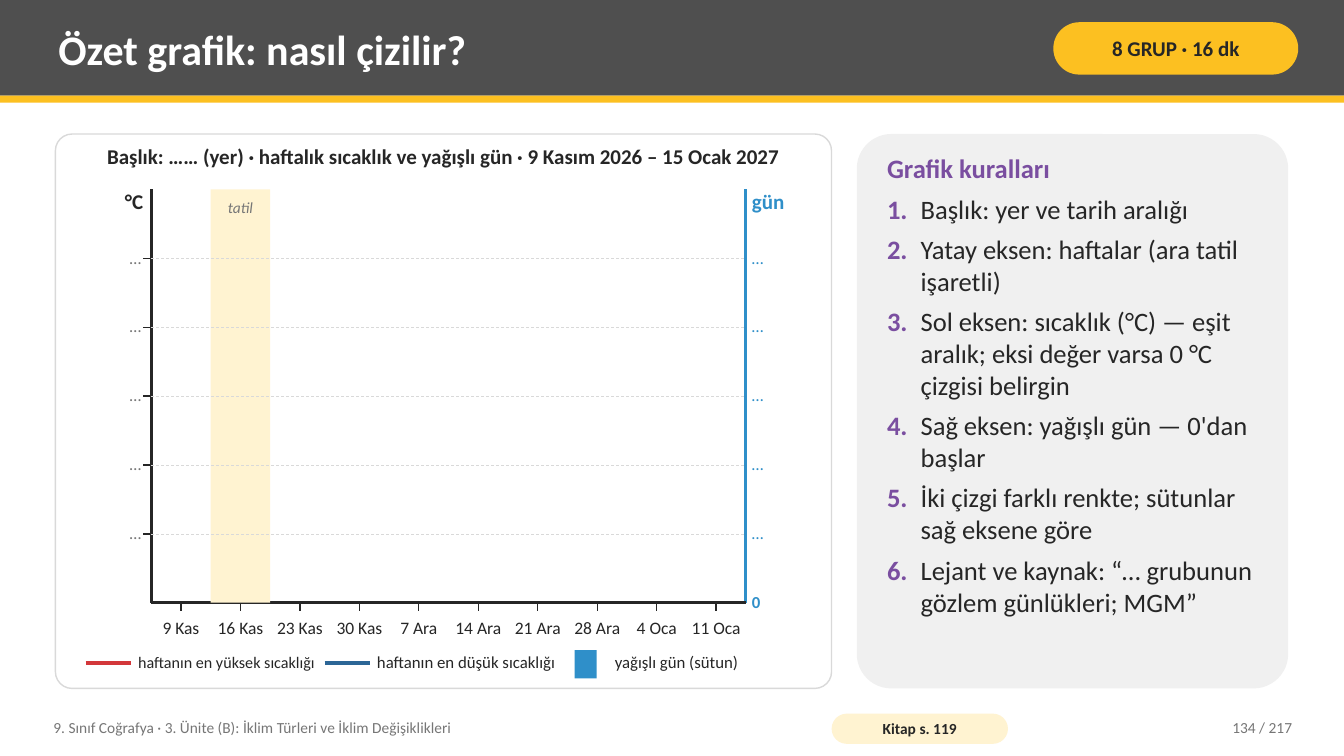
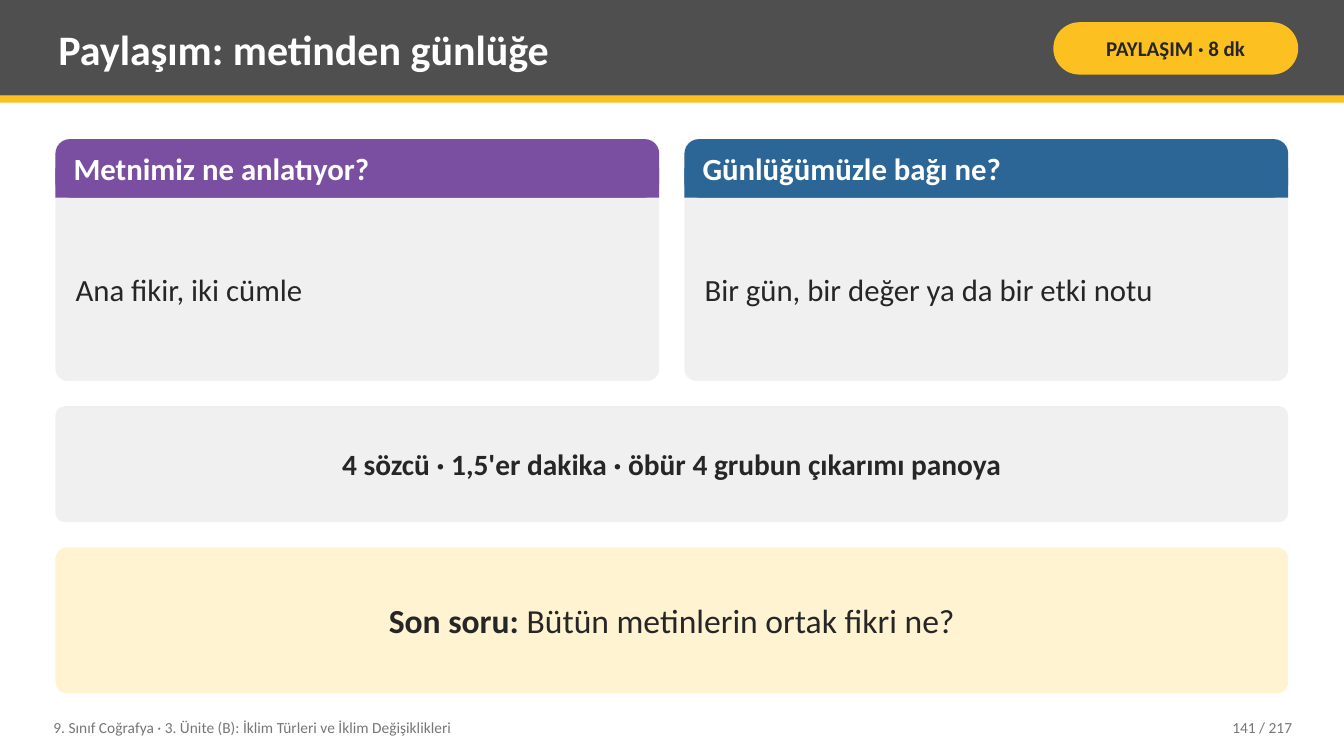
import pptx
import pptx.util
import pptx.dml.color
import pptx.enum.dml
import pptx.enum.shapes
import pptx.enum.text
import pptx.oxml.ns
from lxml import etree

Pt = pptx.util.Pt
RGB = pptx.dml.color.RGBColor
SHAPE = pptx.enum.shapes.MSO_SHAPE
ALIGN = pptx.enum.text.PP_ALIGN
ANCHOR = pptx.enum.text.MSO_ANCHOR
qn = pptx.oxml.ns.qn

# Colours
SLATE = RGB(0x4F, 0x4F, 0x4F)
GOLD = RGB(0xFC, 0xC0, 0x21)
CREAM = RGB(0xFF, 0xF3, 0xD1)
WHITE = RGB(0xFF, 0xFF, 0xFF)
INK = RGB(0x26, 0x26, 0x26)
GRAY = RGB(0x76, 0x76, 0x76)
PALE = RGB(0xF0, 0xF0, 0xF0)
RULE = RGB(0xD9, 0xD9, 0xD9)
PURPLE = RGB(0x7A, 0x4E, 0xA0)
NAVY = RGB(0x2C, 0x66, 0x96)
BLUE = RGB(0x2F, 0x8F, 0xC9)
RED = RGB(0xD3, 0x37, 0x3A)

# Page grid
WIDE, HIGH = 960, 540
EDGE = 39.6
FULL = 880.56
GAP = 18
FONT = "Calibri"
UNIT = "9. Sınıf Coğrafya · 3. Ünite (B): İklim Türleri ve İklim Değişiklikleri"
TOTAL = 217

WEEKS = ["9 Kas", "16 Kas", "23 Kas", "30 Kas", "7 Ara",
         "14 Ara", "21 Ara", "28 Ara", "4 Oca", "11 Oca"]
BREAK = 1
RULES = [
    "Başlık: yer ve tarih aralığı",
    "Yatay eksen: haftalar (ara tatil işaretli)",
    "Sol eksen: sıcaklık (°C) — eşit aralık; eksi değer varsa 0 °C çizgisi belirgin",
    "Sağ eksen: yağışlı gün — 0'dan başlar",
    "İki çizgi farklı renkte; sütunlar sağ eksene göre",
    "Lejant ve kaynak: “… grubunun gözlem günlükleri; MGM”",
]


def style(run, size, color, bold=False, italic=False):
    font = run.font
    font.name, font.size = FONT, Pt(size)
    font.bold, font.italic = bold, italic
    font.color.rgb = color


def frame(shape, inset, anchor):
    body = shape.text_frame
    body.word_wrap = True
    body.vertical_anchor = anchor
    body.margin_left = body.margin_right = Pt(inset[0])
    body.margin_top = body.margin_bottom = Pt(inset[1])
    return body


def write(shape, words, size, color=INK, bold=False, italic=False,
          align=ALIGN.LEFT, anchor=ANCHOR.MIDDLE, inset=(5.76, 2.88)):
    body = frame(shape, inset, anchor)
    body.text = words
    para = body.paragraphs[0]
    para.alignment = align
    style(para.runs[0], size, color, bold, italic)
    return para


def label(slide, x, y, w, h, words, size, color=INK, **look):
    box = slide.shapes.add_textbox(Pt(x), Pt(y), Pt(w), Pt(h))
    return write(box, words, size, color, **look)


def block(slide, x, y, w, h, fill, bend=None, line=None):
    kind = SHAPE.RECTANGLE if bend is None else SHAPE.ROUNDED_RECTANGLE
    shape = slide.shapes.add_shape(kind, Pt(x), Pt(y), Pt(w), Pt(h))
    shape.shadow.inherit = False
    if bend is not None:
        shape.adjustments[0] = bend
    shape.fill.solid()
    shape.fill.fore_color.rgb = fill
    if line is None:
        shape.line.fill.background()
    else:
        shape.line.color.rgb = line
        shape.line.width = Pt(1)
    return shape


def stroke(slide, x1, y1, x2, y2, color=INK, width=1, dash=False):
    line = slide.shapes.add_connector(
        pptx.enum.shapes.MSO_CONNECTOR.STRAIGHT, Pt(x1), Pt(y1), Pt(x2), Pt(y2))
    line.line.color.rgb = color
    line.line.width = Pt(width)
    if dash:
        line.line.dash_style = pptx.enum.dml.MSO_LINE.DASH
    etree.SubElement(line._element.spPr, qn("a:effectLst"))
    return line


def header(slide, title, badge):
    block(slide, 0, 0, WIDE, 68.4, SLATE)
    block(slide, 0, 68.4, WIDE, 5.04, GOLD)
    label(slide, 36, 5.04, 702, 59.04, title, 30, WHITE, bold=True)
    pill = block(slide, 752.4, 15.84, 174.96, 37.44, GOLD, 0.5)
    write(pill, badge, 15, bold=True, align=ALIGN.CENTER, inset=(3.6, 1.44))


def footer(slide, page, book=None):
    y = 506.88
    label(slide, 32.4, y, 547.2, 25.92, UNIT, 11, GRAY)
    if book:
        pill = block(slide, 594, y + 2.88, 126, 21.6, CREAM, 0.5)
        write(pill, book, 11, bold=True, align=ALIGN.CENTER, inset=(2.88, 0))
    label(slide, 813.6, y, 115.2, 25.92, f"{page} / {TOTAL}", 11, GRAY,
          align=ALIGN.RIGHT)


def legend(slide, x, y):
    look = dict(anchor=ANCHOR.TOP, inset=(1.44, 2.88))
    keys = [(0, "haftanın en yüksek sıcaklığı", 11.5, RED),
            (170.64, "haftanın en düşük sıcaklığı", 12, NAVY)]
    for shift, words, size, color in keys:
        left = x + shift
        stroke(slide, left, y + 10.8, left + 32.4, y + 10.8, color, 3)
        label(slide, left + 36, y, 134.64, 21.6, words, size, **look)
    block(slide, x + 349.2, y + 1.44, 15.84, 20.16, BLUE)
    label(slide, x + 376.56, y, 134.64, 21.6, "yağışlı gün (sütun)", 12, **look)


def graph(slide, x, y, w, h):
    """Empty chart template for pupils to draw on."""
    block(slide, x, y, w, h, WHITE, 0.03, RULE)
    label(slide, x + 10.8, y + 3.6, w - 21.6, 32.4,
          "Başlık: …… (yer) · haftalık sıcaklık ve yağışlı gün · "
          "9 Kasım 2026 – 15 Ocak 2027",
          15, bold=True, align=ALIGN.CENTER, anchor=ANCHOR.TOP)

    # Axes
    left, top = x + 68.4, y + 39.6
    right, base = left + 424.8, top + 295.2
    stroke(slide, left, top, left, base, INK, 2)
    stroke(slide, right, top, right, base, BLUE, 2)
    stroke(slide, left, base, right, base, INK, 2)

    # Weeks and the holiday band
    look = dict(anchor=ANCHOR.TOP, inset=(0, 2.88))
    col = (right - left) / len(WEEKS)
    for i, week in enumerate(WEEKS):
        start = left + i * col
        mid = start + col / 2
        if i == BREAK:
            band = block(slide, start, top, col, base - top, CREAM)
            label(slide, start, top + 3.6, col, 21.6, "tatil", 11, GRAY,
                  italic=True, align=ALIGN.CENTER, **look)
        tick = stroke(slide, mid, base, mid, base + 5.76)
        if i == BREAK:
            tick.begin_connect(band, 2)
        label(slide, start, base + 7.2, col, 21.6, week, 12.5,
              align=ALIGN.CENTER, **look)

    # Scale marks
    side = right + 4.32
    step = (base - top) / 6
    for i in range(1, 6):
        mark = base - i * step
        stroke(slide, left - 5.76, mark, left, mark)
        stroke(slide, left, mark, right, mark, RULE, 0.5, dash=True)
        label(slide, left - 39.6, mark - 10.8, 32.4, 21.6, "…", 12, GRAY,
              align=ALIGN.RIGHT, **look)
        label(slide, side, mark - 10.8, 32.4, 21.6, "…", 12, BLUE, **look)
    label(slide, side, base - 10.8, 32.4, 21.6, "0", 12, BLUE, bold=True, **look)
    label(slide, left - 64.08, top - 3.6, 58.32, 25.92, "°C", 15, bold=True,
          align=ALIGN.RIGHT, **look)
    label(slide, side, top - 3.6, 54, 25.92, "gün", 15, BLUE, bold=True, **look)

    legend(slide, x + 21.6, y + 367.2)


def rules(slide, x, y, w, h):
    """Panel with the numbered rules."""
    panel = block(slide, x, y, w, h, PALE, 0.08)
    body = frame(panel, (14.4, 5.76), ANCHOR.TOP)
    body.text = "\n".join(["Grafik kuralları"] + RULES)
    for i, para in enumerate(body.paragraphs):
        para.alignment = ALIGN.LEFT
        if i < len(RULES):
            para.space_after = Pt(6)
        if i == 0:
            style(para.runs[0], 19, PURPLE, bold=True)
            continue
        # Hanging number with a tab to the indent
        props = para._p.get_or_add_pPr()
        props.set("marL", str(Pt(24)))
        props.set("indent", str(-Pt(24)))
        tabs = etree.SubElement(props, qn("a:tabLst"))
        etree.SubElement(tabs, qn("a:tab"), pos=str(Pt(24)), algn="l")
        para.text = f"{i}.\t"
        style(para.runs[0], 19, PURPLE, bold=True)
        rest = para.add_run()
        rest.text = RULES[i - 1]
        style(rest, 19, INK)


def card(slide, x, y, w, h, head, words, color):
    """Panel with a coloured heading, square at its foot."""
    bar = 41.76
    block(slide, x, y, w, h, PALE, 0.05)
    block(slide, x, y, w, bar, color, 0.25)
    block(slide, x, y + bar / 2, w, bar / 2, color)
    label(slide, x + 7.2, y, w - 14.4, bar, head, 22, WHITE, bold=True)
    label(slide, x + 8.64, y + bar + 5.76, w - 17.28, h - bar - 11.52, words, 22)


def banner(slide, y, h, fill, words, size, rest=None):
    shape = block(slide, EDGE, y, FULL, h, fill, 0.08)
    para = write(shape, words, size, bold=True, align=ALIGN.CENTER,
                 inset=(14.4, 5.76))
    if rest:
        run = para.add_run()
        run.text = rest
        style(run, size, INK)


def draw(slide):
    header(slide, "Özet grafik: nasıl çizilir?", "8 GRUP · 16 dk")
    y, w, h = 95.76, 554.4, 396
    graph(slide, EDGE, y, w, h)
    rules(slide, EDGE + w + GAP, y, FULL - w - GAP, h)
    footer(slide, 134, "Kitap s. 119")


def share(slide):
    header(slide, "Paylaşım: metinden günlüğe", "PAYLAŞIM · 8 dk")
    y, h = 99.36, 172.8
    w = (FULL - GAP) / 2
    cards = [("Metnimiz ne anlatıyor?", "Ana fikir, iki cümle", PURPLE),
             ("Günlüğümüzle bağı ne?", "Bir gün, bir değer ya da bir etki notu", NAVY)]
    for i, (head, words, color) in enumerate(cards):
        card(slide, EDGE + i * (w + GAP), y, w, h, head, words, color)
    y += h + GAP
    banner(slide, y, 82.8, PALE,
           "4 sözcü · 1,5'er dakika · öbür 4 grubun çıkarımı panoya", 21)
    y += 82.8 + GAP
    banner(slide, y, 104.4, CREAM, "Son soru:", 24, " Bütün metinlerin ortak fikri ne?")
    footer(slide, 141)


def main():
    deck = pptx.Presentation()
    deck.slide_width, deck.slide_height = Pt(WIDE), Pt(HIGH)
    for build in (draw, share):
        build(deck.slides.add_slide(deck.slide_layouts[6]))
    deck.save("out.pptx")


if __name__ == "__main__":
    main()
